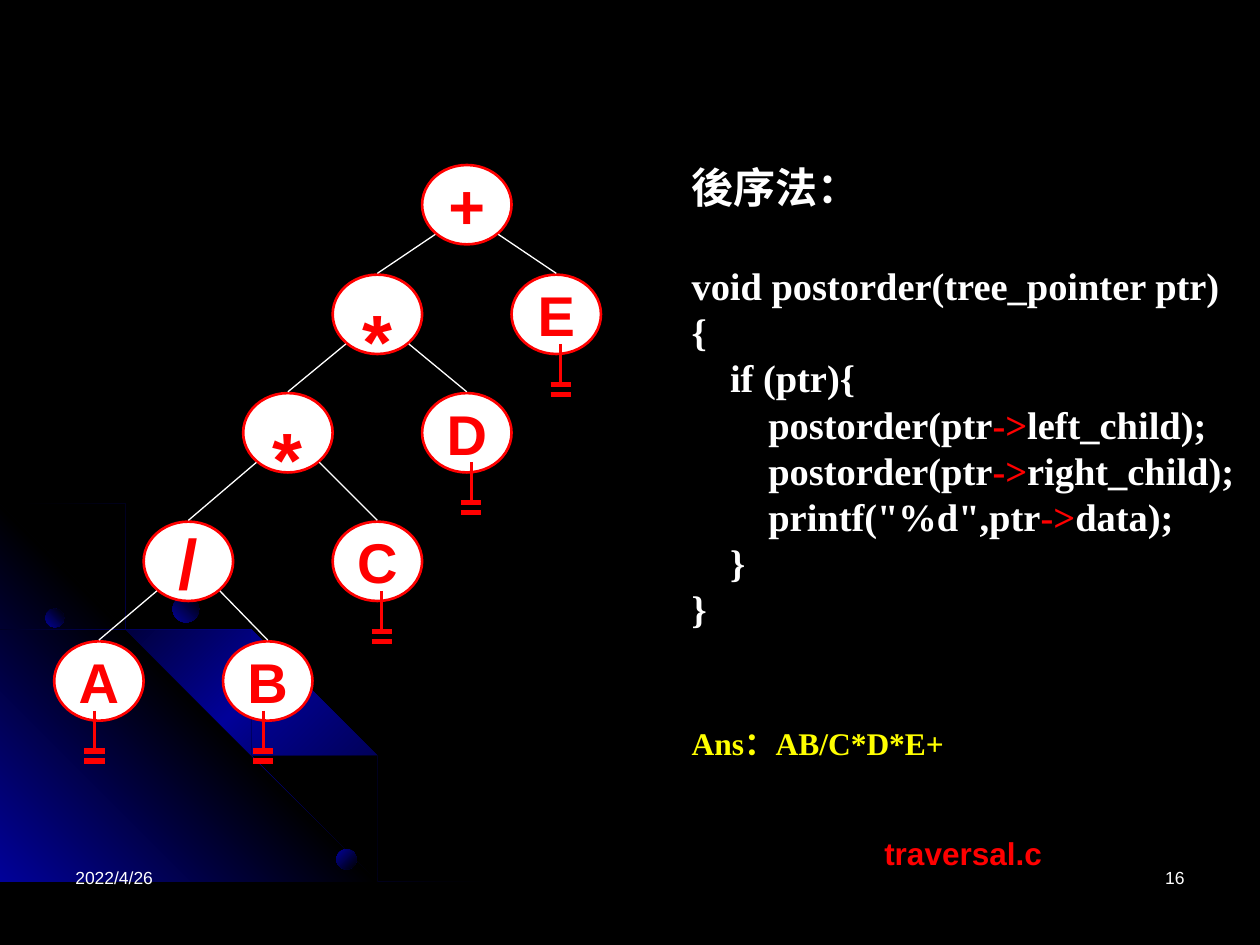
from dataclasses import dataclass
from typing import Optional

from lxml.etree import SubElement
from pptx import Presentation
from pptx.dml.color import RGBColor
from pptx.enum.shapes import MSO_CONNECTOR, MSO_SHAPE
from pptx.enum.text import MSO_ANCHOR, PP_ALIGN
from pptx.oxml import parse_xml
from pptx.oxml.ns import nsdecls, qn
from pptx.util import Inches, Pt

BLACK = RGBColor(0x00, 0x00, 0x00)
NAVY = RGBColor(0x01, 0x01, 0x99)
WHITE = RGBColor(0xFF, 0xFF, 0xFF)
RED = RGBColor(0xFF, 0x00, 0x00)
YELLOW = RGBColor(0xFF, 0xFF, 0x00)
SANS, SERIF = "Arial", "Times New Roman"

NODE_WIDTH, NODE_HEIGHT = 0.71, 0.63
ARC_THICKNESS = 0.02
SLIDE_BOTTOM = 7.49
CODE_INDENT = 0.305
LINE_FACTOR = 1.2


@dataclass
class Node:
    symbol: str
    left: float
    top: float
    size: int = 32
    children: tuple["Node", ...] = ()
    ground: Optional[float] = None  # offset of the null mark from the left edge
    anchor: MSO_ANCHOR = MSO_ANCHOR.MIDDLE

    @property
    def center(self) -> float:
        return self.left + NODE_WIDTH / 2


@dataclass
class Dot:
    left: float
    top: float
    size: float
    angle: int


@dataclass
class Line:
    text: str
    size: int = 22
    font: str = SERIF
    color: RGBColor = WHITE
    level: int = 0
    before: float = 0


ARCS = [
    [(0, 4.35), (0.28, 4.41), (0.57, 4.47), (0.98, 4.59), (1.36, 4.77), (1.74, 4.97),
     (2.09, 5.21), (2.42, 5.48), (2.72, 5.78), (3, 6.11), (3.25, 6.48), (3.39, 6.73),
     (3.52, 6.98), (3.62, 7.23), (3.72, 7.49)],
    [(0, 4.75), (0.41, 4.88), (0.79, 5.05), (1.17, 5.26), (1.52, 5.49), (1.84, 5.76),
     (2.15, 6.06), (2.42, 6.4), (2.66, 6.76), (2.86, 7.12), (2.96, 7.3), (3.03, 7.49)],
    [(0, 4.42), (0.39, 4.55), (0.76, 4.73), (1.11, 4.93), (1.44, 5.16), (1.75, 5.43),
     (2.04, 5.73), (2.29, 6.03), (2.54, 6.39), (2.69, 6.65), (2.82, 6.93), (2.94, 7.2),
     (3.03, 7.49)],
]
CORNER = [(3.22, 7.49), (0, 7.49), (0, 4.27)]
DOTS = [Dot(0.36, 4.83, 0.15, 315), Dot(2.67, 6.74, 0.16, 45), Dot(1.37, 4.73, 0.21, 315)]

DIVIDE = Node("/", 1.14, 4.14, 40, (Node("A", 0.43, 5.09, ground=0.32),
                                    Node("B", 1.77, 5.09, ground=0.32)))
INNER_TIMES = Node("*", 1.93, 3.12, 44, (DIVIDE, Node("C", 2.64, 4.14, ground=0.39)),
                   anchor=MSO_ANCHOR.TOP)
OUTER_TIMES = Node("*", 2.64, 2.18, 44, (INNER_TIMES, Node("D", 3.35, 3.12, ground=0.39)),
                   anchor=MSO_ANCHOR.TOP)
ROOT = Node("+", 3.35, 1.31, 36, (OUTER_TIMES, Node("E", 4.06, 2.18, ground=0.39)))

CODE = [
    Line("後序法：", 24, SANS),
    Line("void postorder(tree_pointer ptr)", before=28.8),
    Line("{"),
    Line("if (ptr){", level=1),
    Line("postorder(ptr->left_child);", level=2),
    Line("postorder(ptr->right_child);", level=2),
    Line('printf("%d",ptr->data);', level=2),
    Line("}", level=1),
    Line("}"),
    Line("Ans：AB/C*D*E+", 18, color=YELLOW, before=52.8),
]


def fill_gradient(shape, colors: list[RGBColor], angle: int) -> None:
    """Fill with evenly spaced colours, the angle running clockwise."""
    step = 100000 // (len(colors) - 1)
    stops = "".join(f'<a:gs pos="{i * step}"><a:srgbClr val="{color}"/></a:gs>'
                    for i, color in enumerate(colors))
    gradient = parse_xml(f'<a:gradFill {nsdecls("a")}><a:gsLst>{stops}</a:gsLst>'
                         f'<a:lin ang="{angle * 60000}" scaled="0"/></a:gradFill>')
    properties = shape.element.spPr
    geometry = properties.find(qn("a:custGeom"))
    if geometry is None:
        geometry = properties.find(qn("a:prstGeom"))
    geometry.addnext(gradient)
    shape.line.fill.background()
    shape.shadow.inherit = False


def add_polygon(slide, points: list[tuple[float, float]]):
    builder = slide.shapes.build_freeform(*points[0], scale=Inches(1))
    builder.add_line_segments(points[1:], close=True)
    return builder.convert_to_shape()


def add_arc(slide, edge: list[tuple[float, float]]) -> None:
    lower = [(max(x - ARC_THICKNESS, 0), min(y + ARC_THICKNESS, SLIDE_BOTTOM))
             for x, y in reversed(edge)]
    fill_gradient(add_polygon(slide, edge + lower), [BLACK, NAVY, BLACK], 45)


def add_dot(slide, dot: Dot) -> None:
    shape = slide.shapes.add_shape(MSO_SHAPE.OVAL, Inches(dot.left), Inches(dot.top),
                                   Inches(dot.size), Inches(dot.size))
    fill_gradient(shape, [NAVY, BLACK], dot.angle)


def add_line(slide, start: tuple[float, float], end: tuple[float, float],
             color: RGBColor, width: float) -> None:
    line = slide.shapes.add_connector(MSO_CONNECTOR.STRAIGHT,
                                      *(Inches(value) for value in start + end))
    line.line.color.rgb = color
    line.line.width = Pt(width)
    SubElement(line.element.spPr, qn("a:effectLst"))


def set_font(font, name: str, size: int, color: RGBColor, bold: bool) -> None:
    font.name, font.size, font.bold = name, Pt(size), bold
    font.color.rgb = color


def add_node(slide, node: Node) -> None:
    """Draw a node, its null mark, and the whole subtree below it."""
    shape = slide.shapes.add_shape(MSO_SHAPE.OVAL, Inches(node.left), Inches(node.top),
                                   Inches(NODE_WIDTH), Inches(NODE_HEIGHT))
    shape.shadow.inherit = False
    shape.fill.solid()
    shape.fill.fore_color.rgb = WHITE
    shape.line.color.rgb = RED
    shape.line.width = Pt(1.5)
    frame = shape.text_frame
    frame.word_wrap = False
    frame.vertical_anchor = node.anchor
    paragraph = frame.paragraphs[0]
    paragraph.text = node.symbol
    paragraph.alignment = PP_ALIGN.CENTER
    set_font(paragraph.font, SANS, node.size, RED, True)

    for child, side in zip(node.children, (-0.25, 0.25)):
        add_node(slide, child)
        add_line(slide, (node.center + side, node.top + 0.55),
                 (child.center, child.top - 0.01), WHITE, 0.75)
    if node.ground is not None:
        x, y = node.left + node.ground, node.top + 0.87
        add_line(slide, (x, node.top + 0.55), (x, y), RED, 1.5)
        for bar in (y, y + 0.08):
            add_line(slide, (x - 0.08, bar), (x + 0.08, bar), RED, 3)


def add_label(slide, text: str, left: float, top: float, width: float, height: float,
              size: int = 10, color: RGBColor = WHITE, bold: bool = False,
              alignment: PP_ALIGN = PP_ALIGN.LEFT) -> None:
    box = slide.shapes.add_textbox(Inches(left), Inches(top), Inches(width), Inches(height))
    paragraph = box.text_frame.paragraphs[0]
    box.text_frame.word_wrap = True
    paragraph.text = text
    paragraph.alignment = alignment
    set_font(paragraph.font, SANS, size, color, bold)


def add_code(slide, lines: list[Line]) -> None:
    """Write the listing, with every -> in red."""
    box = slide.shapes.add_textbox(Inches(5.39), Inches(1.23), Inches(4.55), Inches(4.91))
    frame = box.text_frame
    frame.word_wrap = False
    for index, line in enumerate(lines):
        paragraph = frame.add_paragraph() if index else frame.paragraphs[0]
        paragraph.line_spacing = Pt(line.size * LINE_FACTOR)
        paragraph.space_before = Pt(line.before)
        paragraph.alignment = PP_ALIGN.LEFT
        margin = Inches(line.level * CODE_INDENT)
        paragraph._p.get_or_add_pPr().set("marL", str(margin))
        set_font(paragraph.font, line.font, line.size, line.color, True)
        before, arrow, after = line.text.partition("->")
        for text in filter(None, (before, arrow, after)):
            run = paragraph.add_run()
            run.text = text
            if text == "->":
                run.font.color.rgb = RED


def main() -> None:
    presentation = Presentation()
    presentation.slide_width, presentation.slide_height = Inches(10), Inches(7.5)
    slide = presentation.slides.add_slide(presentation.slide_layouts[6])
    slide.background.fill.solid()
    slide.background.fill.fore_color.rgb = BLACK

    fill_gradient(add_polygon(slide, CORNER), [NAVY, BLACK, NAVY], 315)
    for arc in ARCS:
        add_arc(slide, arc)
    for dot in DOTS:
        add_dot(slide, dot)
    add_label(slide, "2022/4/26", 0.5, 6.83, 2.33, 0.5)
    add_label(slide, "16", 7.17, 6.83, 2.33, 0.5, alignment=PP_ALIGN.RIGHT)
    add_node(slide, ROOT)
    add_code(slide, CODE)
    add_label(slide, "traversal.c", 6.92, 6.57, 1.46, 0.4, 18, RED, True)
    presentation.save("out.pptx")


if __name__ == "__main__":
    main()
